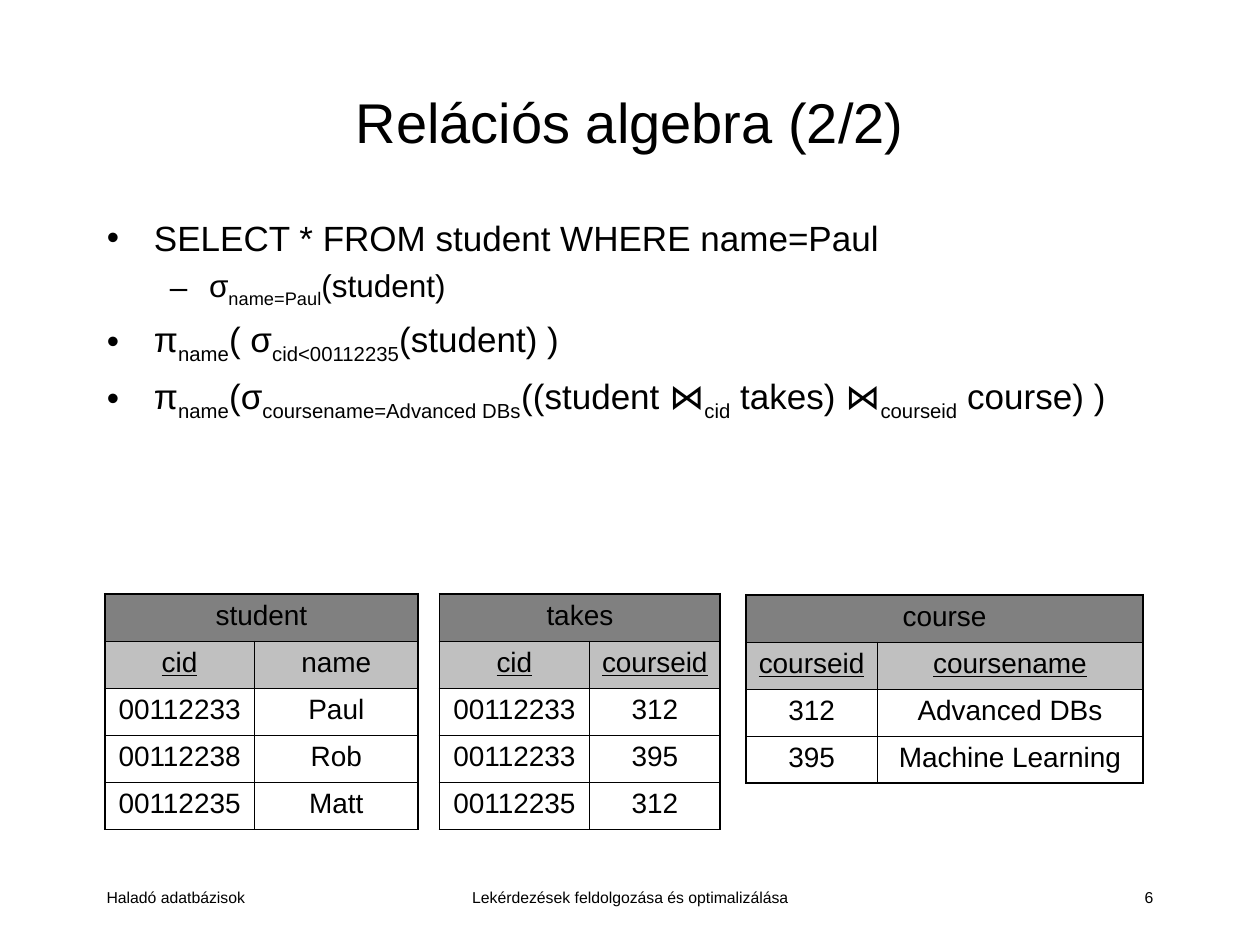
from dataclasses import dataclass

from lxml import etree
from pptx import Presentation
from pptx import util as u
from pptx.dml.color import RGBColor
from pptx.enum import text as t
from pptx.oxml.ns import qn


@dataclass(frozen=True)
class Theme:
    font: str = "Arial"
    ink: str = "000000"
    head: str = "808080"
    sub: str = "C0C0C0"
    title: float = 32
    list: tuple = (20, 18)
    cell: float = 16
    foot: float = 9
    thick: float = 1.08
    thin: float = 0.45


TH = Theme()
LEFT, MID, RIGHT = t.PP_ALIGN.LEFT, t.PP_ALIGN.CENTER, t.PP_ALIGN.RIGHT
# per list level: bullet, left margin, hanging indent (cm), space before (pt)
LEVELS = (("•", 0.95, 0.95, 5), ("–", 2.06, 0.79, 4.5))


def put(obj, vals):
    for key, val in vals.items():
        setattr(obj, key, val)


def place(shape, box):
    put(shape, dict(zip(("left", "top", "width", "height"), map(u.Cm, box))))


def style(font, size, **more):
    put(font, {"name": TH.font, "size": u.Pt(size), **more})
    font.color.rgb = RGBColor.from_string(TH.ink)


def write(par, words, size, align, **more):
    par.alignment = align
    run = par.add_run()
    run.text = words
    style(run.font, size, **more)


def add_title(slide, box, words):
    shape = slide.shapes.title
    place(shape, box)
    put(shape.text_frame, {"vertical_anchor": t.MSO_ANCHOR.MIDDLE,
                           "auto_size": t.MSO_AUTO_SIZE.NONE})
    write(shape.text_frame.paragraphs[0], words, TH.title, MID)


def add_bullet(par, level):
    mark, left, hang, _ = LEVELS[level]
    props = par._p.get_or_add_pPr()
    props.set("marL", str(u.Cm(left)))
    props.set("indent", str(-u.Cm(hang)))
    tint = etree.SubElement(props, qn("a:buClr"))
    etree.SubElement(tint, qn("a:srgbClr"), val=TH.ink)
    etree.SubElement(props, qn("a:buFont"), typeface=TH.font)
    etree.SubElement(props, qn("a:buChar"), char=mark)


def add_list(slide, box, items):
    """Each item is a level and its parts; every second part is a subscript."""
    body = slide.placeholders[1]
    place(body, box)
    frame = body.text_frame
    put(frame, {"word_wrap": True, "auto_size": t.MSO_AUTO_SIZE.NONE,
                "vertical_anchor": t.MSO_ANCHOR.TOP})
    for row, (level, *parts) in enumerate(items):
        par = frame.add_paragraph() if row else frame.paragraphs[0]
        add_bullet(par, level)
        put(par, {"level": level, "alignment": LEFT,
                  "space_before": u.Pt(LEVELS[level][3] if row else 0)})
        for num, part in enumerate(parts):
            run = par.add_run()
            run.text = part
            style(run.font, TH.list[level])
            if num % 2:
                run.font._element.set("baseline", "-25000")


def add_edges(cell, outer):
    props = cell._tc.get_or_add_tcPr()
    for side in "LRTB":
        width = TH.thick if side in outer else TH.thin
        line = etree.SubElement(props, qn("a:ln" + side), w=str(u.Pt(width)))
        fill = etree.SubElement(line, qn("a:solidFill"))
        etree.SubElement(fill, qn("a:srgbClr"), val=TH.ink)


def add_table(slide, left, top, high, widths, name, heads, keys, rows):
    grid = [(name, ""), heads, *rows]
    last = len(grid) - 1
    table = slide.shapes.add_table(
        len(grid), 2, u.Cm(left), u.Cm(top),
        u.Cm(sum(widths)), u.Cm(high * len(grid))).table
    put(table, {"first_row": False, "horz_banding": False})
    for col, width in zip(table.columns, widths):
        col.width = u.Cm(width)
    for r, line in enumerate(grid):
        table.rows[r].height = u.Cm(high)
        for c, words in enumerate(line):
            cell = table.cell(r, c)
            outer = "LR" if r == 0 else "LR"[c]
            add_edges(cell, outer + "T" * (r == 0) + "B" * (r == last))
            if r < 2:
                cell.fill.solid()
                tint = (TH.head, TH.sub)[r]
                cell.fill.fore_color.rgb = RGBColor.from_string(tint)
            else:
                cell.fill.background()
            if words:
                write(cell.text_frame.paragraphs[0], words, TH.cell, MID,
                      underline=r == 1 and words in keys)
    table.cell(0, 0).merge(table.cell(0, 1))


def add_foot(slide, top, high, parts):
    for left, wide, align, words in parts:
        box = slide.shapes.add_textbox(*map(u.Cm, (left, top, wide, high)))
        box.text_frame.word_wrap = True
        write(box.text_frame.paragraphs[0], words, TH.foot, align)


def main():
    deck = Presentation()
    put(deck, {"slide_width": u.Cm(25.4), "slide_height": u.Cm(19.05)})
    slide = deck.slides.add_slide(deck.slide_layouts[1])

    # Title and queries
    add_title(slide, (1.9, 0.85, 21.6, 3.18), "Relációs algebra (2/2)")
    add_list(slide, (1.9, 4.23, 21.6, 13.12), [
        (0, "SELECT * FROM student WHERE name=Paul"),
        (1, "σ", "name=Paul", "(student)"),
        (0, "π", "name", "( σ", "cid<00112235", "(student) )"),
        (0, "π", "name", "(σ", "coursename=Advanced DBs", "((student ⋈",
         "cid", " takes) ⋈", "courseid", " course) )"),
    ])

    # Relations
    high = 0.95
    add_table(slide, 2.11, 11.97, high, (3.02, 3.3), "student",
              ("cid", "name"), ("cid",),
              [("00112233", "Paul"), ("00112238", "Rob"),
               ("00112235", "Matt")])
    add_table(slide, 8.86, 11.97, high, (3.02, 2.64), "takes",
              ("cid", "courseid"), ("cid", "courseid"),
              [("00112233", "312"), ("00112233", "395"),
               ("00112235", "312")])
    add_table(slide, 15.04, 11.99, high, (2.64, 5.36), "course",
              ("courseid", "coursename"), ("courseid", "coursename"),
              [("312", "Advanced DBs"), ("395", "Machine Learning")])

    # Footer
    add_foot(slide, 17.78, 0.85, [
        (1.9, 5.3, LEFT, "Haladó adatbázisok"),
        (8.68, 8.05, MID, "Lekérdezések feldolgozása és optimalizálása"),
        (18.2, 5.3, RIGHT, "6"),
    ])
    deck.save("out.pptx")


if __name__ == "__main__":
    main()
